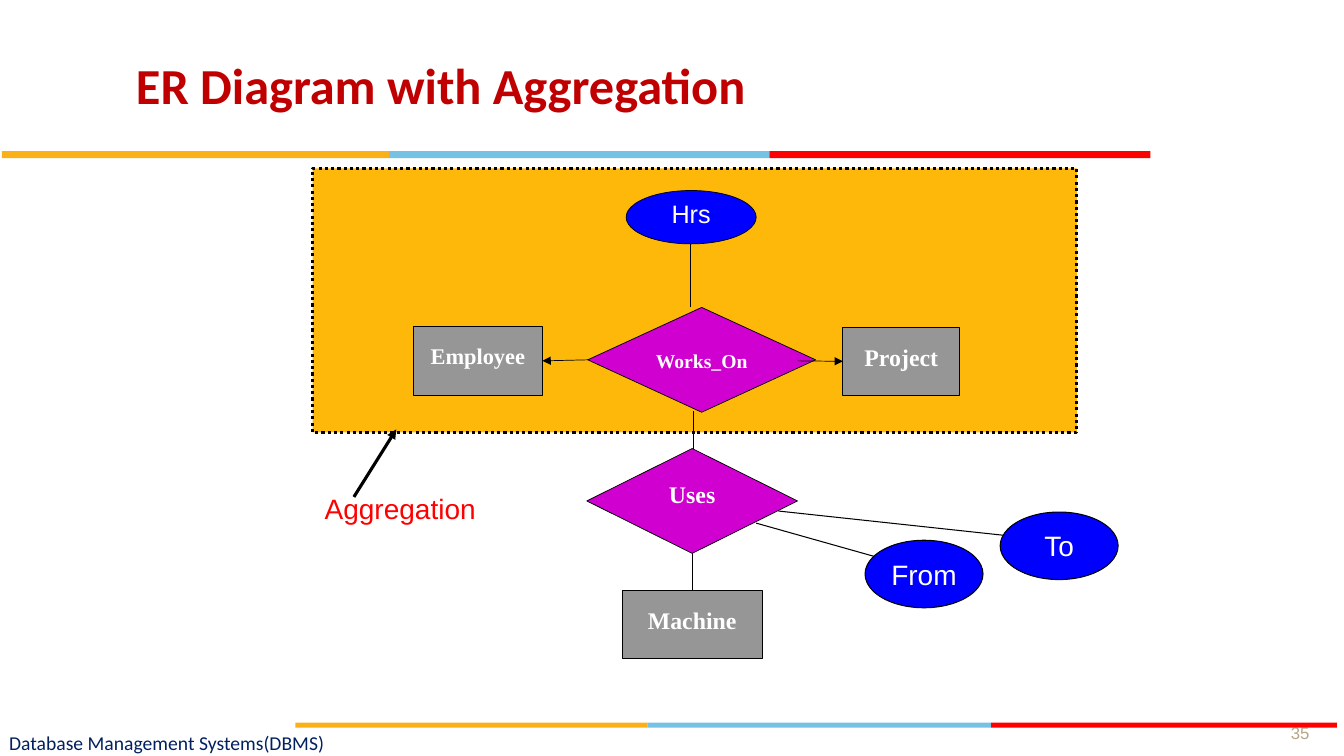
from pptx import Presentation
from pptx.dml.color import RGBColor
from pptx.enum.dml import MSO_LINE
from pptx.enum.shapes import MSO_CONNECTOR, MSO_SHAPE as SHAPE
from pptx.enum.text import MSO_ANCHOR as ANCHOR, PP_ALIGN as ALIGN
from pptx.oxml.ns import qn
from pptx.util import Inches, Pt
from lxml.etree import SubElement

ENTITY, RELATION, ATTRIBUTE = "969696", "D000D0", "0000FF"
BLACK, WHITE, RED = "000000", "FFFFFF", "FF0000"
SERIF, SANS, BODY = "Times New Roman", "Arial", "Calibri"
DEFAULT_INSETS = (0.1, 0.05, 0.1, 0.05)
LOW_INSETS = (0.1, 0.15, 0.1, 0.05)
NO_INSETS = (0, 0, 0, 0)


def rgb(value):
    return RGBColor.from_string(value)


class Diagram:
    def __init__(self, slide):
        self.s = slide

    def label(self, sp, text, size, font, color, bold=False, align=ALIGN.CENTER,
              anchor=ANCHOR.TOP, insets=DEFAULT_INSETS, wrap=True):
        tf = sp.text_frame
        tf.word_wrap = wrap
        tf.vertical_anchor = anchor
        tf.margin_left, tf.margin_top, tf.margin_right, tf.margin_bottom = map(Inches, insets)
        p = tf.paragraphs[0]
        p.alignment = align
        r = p.add_run()
        r.text = text
        r.font.size = Pt(size)
        r.font.name = font
        r.font.bold = bold
        r.font.color.rgb = rgb(color)

    def text(self, box, text, size, font, color, **style):
        sp = self.s.shapes.add_textbox(*map(Inches, box))
        self.label(sp, text, size, font, color, **style)

    def shape(self, kind, box, fill, width=0, dash=None):
        sp = self.s.shapes.add_shape(kind, *map(Inches, box))
        sp.shadow.inherit = False
        sp.fill.solid()
        sp.fill.fore_color.rgb = rgb(fill)
        if width:
            sp.line.color.rgb = rgb(BLACK)
            sp.line.width = Pt(width)
            sp.line.dash_style = dash
        else:
            sp.line.fill.background()
        return sp

    def entity(self, box, name, size=17):
        sp = self.shape(SHAPE.RECTANGLE, box, ENTITY, 0.5)
        self.label(sp, name, size, SERIF, WHITE, bold=True, insets=LOW_INSETS)
        return sp

    def relation(self, box, name, size, insets):
        sp = self.shape(SHAPE.FLOWCHART_DECISION, box, RELATION, 0.5)
        self.label(sp, name, size, SERIF, WHITE, bold=True, insets=insets)
        return sp

    def attribute(self, box, name, size=20, width=0.75, **style):
        sp = self.shape(SHAPE.OVAL, box, ATTRIBUTE, width)
        self.label(sp, name, size, SANS, WHITE, **style)

    def line(self, start, end, width=0.5, arrow=False, begin=None, finish=None):
        c = self.s.shapes.add_connector(MSO_CONNECTOR.STRAIGHT, *map(Inches, start + end))
        if begin:
            c.begin_connect(*begin)
        if finish:
            c.end_connect(*finish)
        c.line.color.rgb = rgb(BLACK)
        c.line.width = Pt(width)
        props = c._element.spPr
        if arrow:
            SubElement(props.find(qn("a:ln")), qn("a:tailEnd"), type="triangle")
        SubElement(props, qn("a:effectLst"))

    def stripe(self, left, top, widths, height):
        for width, color in zip(widths, ("FCB017", "76C2E5", RED)):
            self.shape(SHAPE.RECTANGLE, (left, top, width, height), color)
            left += width


def main():
    prs = Presentation()
    prs.slide_width, prs.slide_height = Inches(13.33), Inches(7.5)
    d = Diagram(prs.slides.add_slide(prs.slide_layouts[6]))

    d.text((1.25, 0.3, 11.78, 1.08), "ER Diagram with Aggregation", 36, BODY, "C00000",
           bold=True, align=ALIGN.LEFT, anchor=ANCHOR.MIDDLE)
    d.text((12.56, 6.9, 0.67, 0.52), "35", 12, SANS, "B5A788", anchor=ANCHOR.BOTTOM)

    d.shape(SHAPE.RECTANGLE, (3.1, 1.67, 7.58, 2.62), "FEB80A", 2.25, MSO_LINE.ROUND_DOT)
    works_on = d.relation((5.83, 3.05, 2.26, 1.04), "Works_On", 14, LOW_INSETS)
    d.line((6.88, 4.08), (6.88, 4.47))
    d.line((6.85, 3.05), (6.85, 2.34))
    employee = d.entity((4.1, 3.24, 1.28, 0.68), "Employee", 16)
    project = d.entity((8.36, 3.25, 1.16, 0.67), "Project")
    d.line((5.83, 3.58), (5.38, 3.58), arrow=True, begin=(works_on, 1), finish=(employee, 3))
    d.line((7.91, 3.58), (8.36, 3.58), arrow=True, finish=(project, 1))
    uses = d.relation((5.82, 4.45, 2.09, 1.04), "Uses", 17, DEFAULT_INSETS)
    machine = d.entity((6.17, 5.86, 1.39, 0.67), "Machine")
    d.line((6.87, 5.49), (6.87, 5.86), begin=(uses, 2), finish=(machine, 0))
    d.attribute((6.21, 1.89, 1.29, 0.53), "Hrs", 18, 0.5, insets=NO_INSETS)

    d.line((3.51, 4.93), (3.93, 4.26), 2.25, arrow=True)
    d.text((2.93, 4.83, 2.08, 0.42), "Aggregation", 20, SANS, RED,
           anchor=ANCHOR.MIDDLE, wrap=False)

    d.line((7.5, 5.19), (8.67, 5.52), 0.75)
    d.attribute((8.58, 5.36, 1.17, 0.67), "From", anchor=ANCHOR.MIDDLE, wrap=False)
    d.line((7.72, 5.07), (9.95, 5.31), 0.75)
    d.attribute((9.92, 5.08, 1.17, 0.67), "To", anchor=ANCHOR.MIDDLE, wrap=False)

    d.stripe(0.02, 1.5, (3.84, 3.77, 3.78), 0.07)
    d.stripe(2.93, 7.17, (3.49, 3.41, 3.43), 0.05)
    d.text((0.09, 7.23, 4.96, 0.27), "Database Management Systems(DBMS)", 14, BODY, "002060",
           align=ALIGN.LEFT, anchor=ANCHOR.MIDDLE, insets=NO_INSETS)

    prs.save("out.pptx")


if __name__ == "__main__":
    main()
